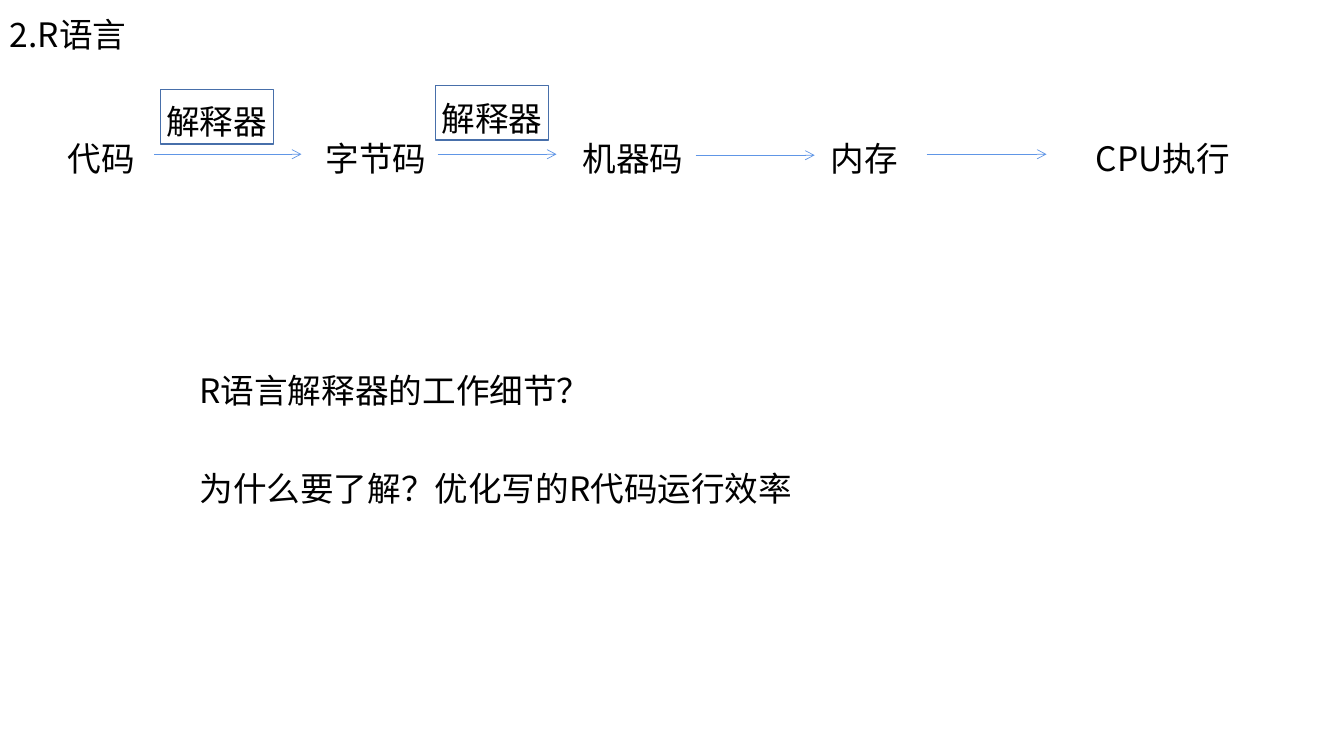
"""Build the slide on how R code reaches the CPU."""
from lxml.etree import SubElement
from pptx import Presentation
from pptx.dml.color import RGBColor
from pptx.enum.shapes import MSO_CONNECTOR as Connector, MSO_SHAPE as Shape
from pptx.enum.text import MSO_ANCHOR as Anchor, PP_ALIGN as Align
from pptx.oxml.ns import qn
from pptx.util import Inches, Pt

FONT = "Noto Sans CJK SC"
TEXT_COLOR, ARROW_COLOR, FRAME_COLOR = "000000", "6096E6", "476FAA"

TITLE = "2.R语言"
QUESTIONS = [
    ("R语言解释器的工作细节？", 3.62, 4.17),
    ("为什么要了解？优化写的R代码运行效率", 4.59, 6.58),
]
STAGES = [
    ("代码", 0.47, 1.07),
    ("字节码", 2.99, 1.48),
    ("机器码", 5.66, 1.24),
    ("内存", 7.95, 1.24),
    ("CPU执行", 10.67, 1.73),
]
ARROWS = [(1.53, 2.99, 1.53), (4.34, 5.52, 1.53), (6.9, 8.08, 1.54), (9.19, 10.38, 1.53)]
INTERPRETERS = [
    ("解释器", (1.41, 0.89), (1.59, 0.89)),
    ("解释器", (4.14, 0.86), (4.32, 0.85)),
]
QUESTION_LEFT, QUESTION_HEIGHT = 1.88, 0.5
STAGE_TOP, LABEL_WIDTH, LABEL_HEIGHT = 1.25, 1.48, 0.57
FRAME_SIZE = (1.12, 0.54)


def color(value):
    return RGBColor.from_string(value)


def add_text(page, text, left, top, width, height,
             align=Align.CENTER, anchor=Anchor.BOTTOM, spacing=0.9):
    box = page.shapes.add_textbox(*map(Inches, (left, top, width, height)))
    frame = box.text_frame
    frame.word_wrap = True
    frame.vertical_anchor = anchor
    para = frame.paragraphs[0]
    para.alignment = align
    para.line_spacing = spacing
    span = para.add_run()
    span.text = text
    span.font.size = Pt(24)
    span.font.name = FONT
    span.font.color.rgb = color(TEXT_COLOR)
    SubElement(span.font._element, qn("a:ea"), typeface=FONT)


def add_arrow(page, start, end, height):
    arrow = page.shapes.add_connector(
        Connector.STRAIGHT, *map(Inches, (start, height, end, height)))
    arrow.line.color.rgb = color(ARROW_COLOR)
    arrow.line.width = Pt(0.5)
    SubElement(arrow.line._get_or_add_ln(), qn("a:tailEnd"), type="arrow")
    SubElement(arrow._element.spPr, qn("a:effectLst"))


def add_frame(page, left, top):
    outline = page.shapes.add_shape(
        Shape.RECTANGLE, *map(Inches, (left, top, *FRAME_SIZE)))
    outline.shadow.inherit = False
    outline.fill.background()
    outline.line.color.rgb = color(FRAME_COLOR)
    outline.line.width = Pt(1)


def main():
    deck = Presentation()
    deck.slide_width, deck.slide_height = Inches(13.33), Inches(7.5)
    page = deck.slides.add_slide(deck.slide_layouts[6])

    add_text(page, TITLE, 0, 0, 1.49, 0.59, align=Align.LEFT)
    for text, top, width in QUESTIONS:
        add_text(page, text, QUESTION_LEFT, top, width, QUESTION_HEIGHT,
                 Align.LEFT, Anchor.TOP, 1.0)
    for text, left, width in STAGES:
        add_text(page, text, left, STAGE_TOP, width, LABEL_HEIGHT)
    for arrow in ARROWS:
        add_arrow(page, *arrow)
    for text, label_place, frame_place in INTERPRETERS:
        add_text(page, text, *label_place, LABEL_WIDTH, LABEL_HEIGHT)
        add_frame(page, *frame_place)

    deck.save("out.pptx")


if __name__ == "__main__":
    main()
